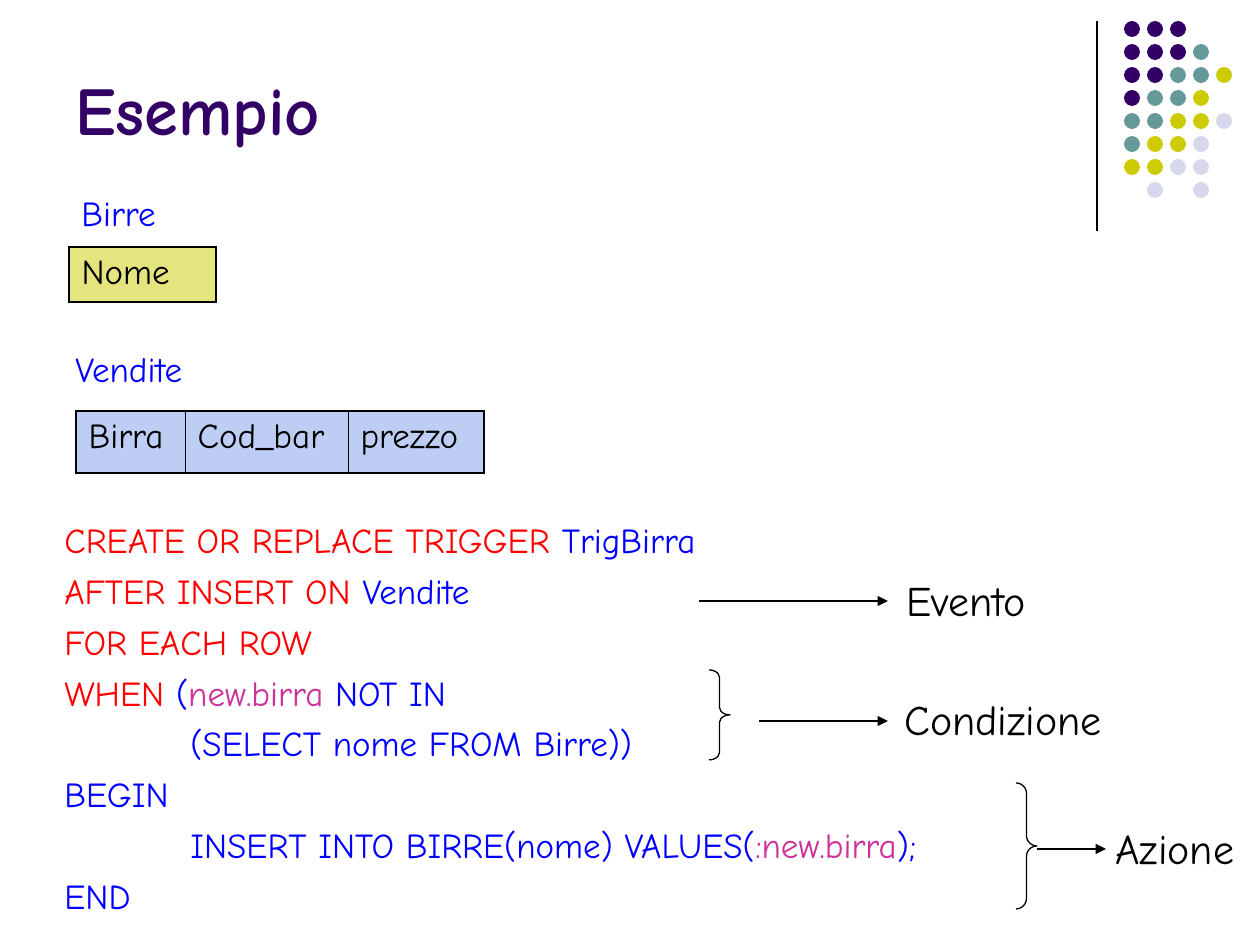
from typing import NamedTuple

from lxml.etree import SubElement
from pptx import Presentation
from pptx.dml.color import RGBColor
from pptx.enum.shapes import MSO_CONNECTOR as CONN, MSO_SHAPE as SHAPE
from pptx.enum.text import MSO_ANCHOR as ANCHOR, MSO_AUTO_SIZE as AUTO
from pptx.oxml.ns import qn
from pptx.util import Pt

EMU_PER_PX = 914400 / 126
FONT = "Comic Neue"
BLACK = RGBColor(0x00, 0x00, 0x00)
PURPLE = RGBColor(0x33, 0x00, 0x66)
TEAL = RGBColor(0x66, 0x99, 0x99)
OLIVE = RGBColor(0xCC, 0xCC, 0x00)
LILAC = RGBColor(0xD8, 0xD8, 0xEC)
RED = RGBColor(0xFF, 0x00, 0x00)
BLUE = RGBColor(0x00, 0x00, 0xFF)
PINK = RGBColor(0xCC, 0x33, 0x99)
SKY = RGBColor(0x7E, 0x9C, 0xE8)
THIN, THICK = 0.45, 1.08


class Box(NamedTuple):
    x: int
    y: int
    w: int
    h: int


class Label(NamedTuple):
    text: str
    box: Box
    size: int
    color: RGBColor


class Arrow(NamedTuple):
    x1: int
    x2: int
    y: int


class Relation(NamedTuple):
    x: int
    y: int
    height: int
    fill: RGBColor
    columns: list[tuple[str, int]]


DOT_COLORS = {"P": PURPLE, "T": TEAL, "O": OLIVE, "L": LILAC}
DOT_ROWS = ["PPP", "PPPT", "PPTTO", "PTTO", "TTOOL", "TOOL", "OOLL", " L L"]
DOT_X, DOT_Y, DOT_PITCH, DOT_SIZE = 1124, 21, 23, 16

LABELS = [
    Label("Evento", Box(894, 569, 146, 63), 24, BLACK),
    Label("Condizione", Box(892, 688, 228, 63), 24, BLACK),
    Label("Azione", Box(1103, 817, 144, 63), 24, BLACK),
    Label("Vendite", Box(63, 341, 135, 55), 20, BLUE),
    Label("Birre", Box(69, 185, 100, 55), 20, BLUE),
]
ARROWS = [Arrow(699, 888, 601), Arrow(759, 888, 721), Arrow(1037, 1106, 849)]
BRACES = [Box(709, 670, 21, 90), Box(1016, 783, 21, 126)]
RELATIONS = [
    Relation(76, 411, 62, SKY, [("Birra", 109), ("Cod_bar", 163), ("prezzo", 136)]),
    Relation(69, 247, 55, OLIVE, [("Nome", 147)]),
]
TRIGGER = [
    [("CREATE OR REPLACE TRIGGER ", RED), ("TrigBirra", BLUE)],
    [("AFTER INSERT ON ", RED), ("Vendite", BLUE)],
    [("FOR EACH ROW", RED)],
    [("WHEN ", RED), ("(", BLUE), ("new.birra", PINK), (" NOT IN", BLUE)],
    [("\t(SELECT nome FROM Birre))", BLUE)],
    [("BEGIN", BLUE)],
    [("\tINSERT INTO BIRRE(nome) VALUES(", BLUE), (":new.birra", PINK), (");", BLUE)],
    [("END", BLUE)],
]


def px(n: int) -> int:
    return round(n * EMU_PER_PX)


def place(box: Box) -> list[int]:
    return [px(n) for n in box]


def add_run(p, text: str, *, size: int = 20, color: RGBColor = BLACK,
            bold: bool = False) -> None:
    r = p.add_run()
    r.text = text
    r.font.name, r.font.size, r.font.bold = FONT, Pt(size), bold
    r.font.color.rgb = color


def add_text(s, box: Box, lines: list, *, size: int = 20, bold: bool = False,
             wrap: bool = True, grow: bool = True, anchor=ANCHOR.TOP,
             gap: int = 0, top: int = 6, tab: int = 0) -> None:
    """Add a text box whose lines are lists of (text, colour) pairs."""
    tf = s.shapes.add_textbox(*place(box)).text_frame
    tf.word_wrap, tf.vertical_anchor, tf.margin_top = wrap, anchor, px(top)
    tf.auto_size = AUTO.SHAPE_TO_FIT_TEXT if grow else AUTO.NONE
    for i, line in enumerate(lines):
        p = tf.add_paragraph() if i else tf.paragraphs[0]
        if i:
            p.space_before = Pt(gap)
        if tab:
            tabs = SubElement(p._p.get_or_add_pPr(), qn("a:tabLst"))
            SubElement(tabs, qn("a:tab"), pos=str(px(tab)), algn="l")
        for text, color in line:
            add_run(p, text, size=size, color=color, bold=bold)


def add_line(s, x1: int, y1: int, x2: int, y2: int, *, arrow: bool = False) -> None:
    line = s.shapes.add_connector(CONN.STRAIGHT, px(x1), px(y1), px(x2), px(y2))
    line.line.color.rgb, line.line.width = BLACK, Pt(0.75)
    if arrow:
        SubElement(line.line._get_or_add_ln(), qn("a:tailEnd"), type="triangle")
    SubElement(line._element.spPr, qn("a:effectLst"))


def add_dots(s) -> None:
    for row, codes in enumerate(DOT_ROWS):
        for col, code in enumerate(codes):
            if code == " ":
                continue
            box = Box(DOT_X + col * DOT_PITCH, DOT_Y + row * DOT_PITCH, DOT_SIZE, DOT_SIZE)
            dot = s.shapes.add_shape(SHAPE.OVAL, *place(box))
            dot.shadow.inherit = False
            dot.fill.solid()
            dot.fill.fore_color.rgb = DOT_COLORS[code]
            dot.line.fill.background()


def add_brace(s, box: Box) -> None:
    sp = s.shapes.add_shape(SHAPE.RIGHT_BRACE, *place(box))
    sp.shadow.inherit = False
    sp.fill.background()
    sp.line.color.rgb, sp.line.width = BLACK, Pt(0.75)
    sp.adjustments[0] = box.h / box.w / 12


def set_borders(cell, widths: dict[str, float]) -> None:
    """Set the cell's borders; widths maps L, R, T, B to points, in that order."""
    tc_pr = cell._tc.get_or_add_tcPr()
    for i, (side, width) in enumerate(widths.items()):
        ln = SubElement(tc_pr, qn(f"a:ln{side}"), w=str(Pt(width)))
        fill = SubElement(ln, qn("a:solidFill"))
        SubElement(fill, qn("a:srgbClr"), val=str(BLACK))
        tc_pr.insert(i, ln)


def add_relation(s, rel: Relation) -> None:
    last = len(rel.columns) - 1
    box = Box(rel.x, rel.y, sum(w for _, w in rel.columns), rel.height)
    table = s.shapes.add_table(1, last + 1, *place(box)).table
    table.first_row = table.horz_banding = False
    for i, (name, width) in enumerate(rel.columns):
        table.columns[i].width = px(width)
        cell = table.cell(0, i)
        add_run(cell.text_frame.paragraphs[0], name)
        cell.fill.solid()
        cell.fill.fore_color.rgb = rel.fill
        color = cell._tc.tcPr.find(f".//{qn('a:srgbClr')}")
        SubElement(color, qn("a:alpha"), val="50000")
        set_borders(cell, {"L": THIN if i else THICK, "R": THIN if i < last else THICK,
                           "T": THICK, "B": THICK})


def main() -> None:
    prs = Presentation()
    prs.slide_width, prs.slide_height = px(1260), px(945)
    s = prs.slides.add_slide(prs.slide_layouts[6])
    add_line(s, 1097, 21, 1097, 231)
    add_dots(s)
    add_text(s, Box(63, -24, 1040, 179), [[("Esempio", PURPLE)]], size=39, bold=True,
             grow=False, anchor=ANCHOR.BOTTOM)
    add_text(s, Box(52, 454, 1124, 469), TRIGGER, gap=5, top=65, tab=126)
    for label in LABELS:
        add_text(s, label.box, [[(label.text, label.color)]], size=label.size, wrap=False)
    for arrow in ARROWS:
        add_line(s, arrow.x1, arrow.y, arrow.x2, arrow.y, arrow=True)
    for brace in BRACES:
        add_brace(s, brace)
    for rel in RELATIONS:
        add_relation(s, rel)
    prs.save("out.pptx")


if __name__ == "__main__":
    main()
